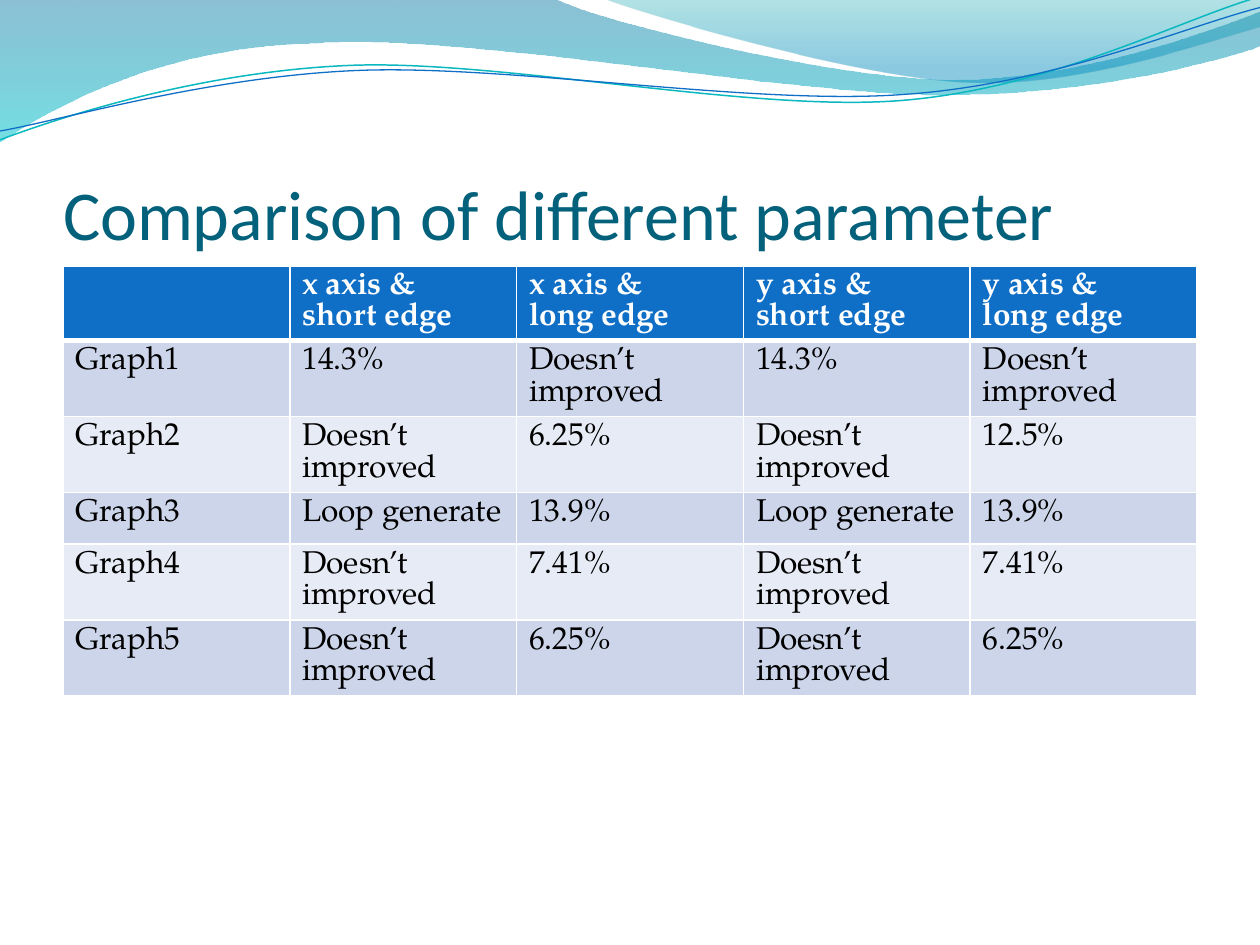
from lxml.etree import SubElement
from pptx import Presentation
from pptx.dml.color import RGBColor
from pptx.enum.text import MSO_ANCHOR, MSO_AUTO_SIZE, PP_ALIGN
from pptx.oxml.ns import qn
from pptx.util import Inches, Pt

TITLE_COLOR = RGBColor(0x04, 0x61, 0x7B)
BLUE = RGBColor(0x0F, 0x6F, 0xC6)
TEAL = RGBColor(0x0A, 0xB8, 0xBF)
DEEP_BLUE = RGBColor(0x00, 0x74, 0xA1)
AQUA = RGBColor(0x00, 0xC6, 0xCF)
SEA_GREEN = RGBColor(0x00, 0xA1, 0xA9)
SKY = RGBColor(0x00, 0x8B, 0xBF)
BAND_DARK = RGBColor(0xCC, 0xD5, 0xEA)
BAND_LIGHT = RGBColor(0xE7, 0xEB, 0xF5)
WHITE = RGBColor(0xFF, 0xFF, 0xFF)
BLACK = RGBColor(0, 0, 0)

# Each outline is a start point and steps: 2 numbers for a line, 6 for a curve
WIDE_WAVE = [(0, 0), (4.4, -0.01), (4.76, 0.17, 6.64, 0.63, 7.58, 0.63),
             (8.53, 0.63, 9.58, 0.26, 10, 0.09), (10.01, 0.36),
             (9.83, 0.44, 8.7, 0.76, 7.46, 0.75),
             (6.22, 0.75, 3.82, 0.28, 2.57, 0.34),
             (1.29, 0.36, 0.46, 0.83, -0.01, 1.13)]
RIGHT_WAVE = [(4.79, -0.01), (5.09, 0.11, 6.82, 0.62, 7.69, 0.65),
              (8.56, 0.69, 9.61, 0.32, 10, 0.21), (10, 0)]
TEAL_LINE = [(0, 1.11), (0.48, 0.93, 1.58, 0.57, 2.77, 0.52),
             (3.95, 0.47, 5.93, 0.89, 7.13, 0.8),
             (8.33, 0.71, 9.38, 0.15, 9.98, -0.02)]
BLUE_LINE = [(0, 1.04), (0.47, 0.96, 1.64, 0.61, 2.83, 0.56),
             (4.03, 0.51, 5.97, 0.84, 7.17, 0.75),
             (8.36, 0.67, 9.41, 0.21, 10, 0.06)]

NONE = "Doesn’t improved"
LOOP = "Loop generate"
ROWS = [
    ["", "x axis &\nshort edge", "x axis &\nlong edge",
     "y axis &\nshort edge", "y axis &\nlong edge"],
    ["Graph1", "14.3%", NONE, "14.3%", NONE],
    ["Graph2", NONE, "6.25%", NONE, "12.5%"],
    ["Graph3", LOOP, "13.9%", LOOP, "13.9%"],
    ["Graph4", NONE, "7.41%", NONE, "7.41%"],
    ["Graph5", NONE, "6.25%", NONE, "6.25%"],
]


def add_outline(s, left, top, outline, close):
    """Build the outline from its end points, then bend its curved steps."""
    ends = [(Inches(left + step[-2]), Inches(top + step[-1])) for step in outline]
    builder = s.shapes.build_freeform(*ends[0])
    builder.add_line_segments(ends[1:], close=close)
    sp = builder.convert_to_shape()
    sp.shadow.inherit = False
    segments = list(sp._element.iter(qn("a:lnTo")))
    for segment, step in zip(segments, outline[1:]):
        if len(step) == 2:
            continue
        curve = segment.getparent().makeelement(qn("a:cubicBezTo"))
        for x, y in zip(step[::2], step[1::2]):
            SubElement(curve, qn("a:pt"), x=str(Inches(left + x) - sp.left),
                       y=str(Inches(top + y) - sp.top))
        segment.getparent().replace(segment, curve)
    return sp


def add_wave(s, left, top, outline, stops):
    sp = add_outline(s, left, top, outline, True)
    sp.line.fill.background()
    sp.fill.gradient()
    sp.fill.gradient_angle = 270  # top to bottom
    for stop, (position, color, _) in zip(sp.fill.gradient_stops, stops):
        stop.position = position
        stop.color.rgb = color
    for gs, (_, _, opacity) in zip(sp._element.iter(qn("a:gs")), stops):
        SubElement(gs[0], qn("a:alpha"), val=str(opacity * 1000))


def add_wave_line(s, left, top, outline, color, width):
    sp = add_outline(s, left, top, outline, False)
    sp.fill.background()
    sp.line.color.rgb = color
    sp.line.width = Pt(width)


def add_banner(s, left, top):
    add_wave(s, left, top, WIDE_WAVE, [(0, DEEP_BLUE, 45), (1, AQUA, 55)])
    add_wave(s, left, top, RIGHT_WAVE, [(0, SEA_GREEN, 30), (0.8, SKY, 45)])
    add_wave_line(s, left, top, TEAL_LINE, TEAL, 0.85)
    add_wave_line(s, left, top, BLUE_LINE, BLUE, 0.75)


def set_title(s, left, top, width, height, text):
    sp = s.shapes.title
    sp.left, sp.top = Inches(left), Inches(top)
    sp.width, sp.height = Inches(width), Inches(height)
    tf = sp.text_frame
    tf.text = text
    tf.auto_size = MSO_AUTO_SIZE.NONE
    tf.vertical_anchor = MSO_ANCHOR.BOTTOM
    tf.margin_left = tf.margin_right = tf.margin_bottom = 0
    tf.margin_top = Inches(0.05)
    p = tf.paragraphs[0]
    p.alignment = PP_ALIGN.LEFT
    font = p.runs[0].font
    font.name, font.size = "Calibri", Pt(40)
    font.color.rgb = TITLE_COLOR


def set_header_borders(cell):
    tc_pr = cell._tc.get_or_add_tcPr()
    for side, width in (("L", 1), ("R", 1), ("T", 1), ("B", 3)):
        ln = SubElement(tc_pr, qn("a:ln" + side), w=str(Pt(width)))
        fill = SubElement(ln, qn("a:solidFill"))
        SubElement(fill, qn("a:srgbClr"), val=str(WHITE))


def add_results(s, left, top, width, row_height, rows):
    table = s.shapes.add_table(
        len(rows), len(rows[0]), Inches(left), Inches(top),
        Inches(width), Inches(row_height * len(rows))).table
    for i, row in enumerate(rows):
        header = i == 0
        band = BLUE if header else BAND_DARK if i % 2 else BAND_LIGHT
        for j, text in enumerate(row):
            cell = table.cell(i, j)
            if header:
                set_header_borders(cell)
            cell.fill.solid()
            cell.fill.fore_color.rgb = band
            cell.text_frame.text = text
            for p in cell.text_frame.paragraphs:
                for r in p.runs:
                    r.font.name, r.font.size = "TeX Gyre Pagella", Pt(18)
                    r.font.bold = header
                    r.font.color.rgb = WHITE if header else BLACK


prs = Presentation()
prs.slide_width, prs.slide_height = Inches(10), Inches(7.5)
s = prs.slides.add_slide(prs.slide_layouts[5])
add_banner(s, 0, 0)
set_title(s, 0.5, 0.77, 9, 1.25, "Comparison of different parameter")
add_results(s, 0.5, 2.11, 9, 0.41, ROWS)
prs.save("out.pptx")
